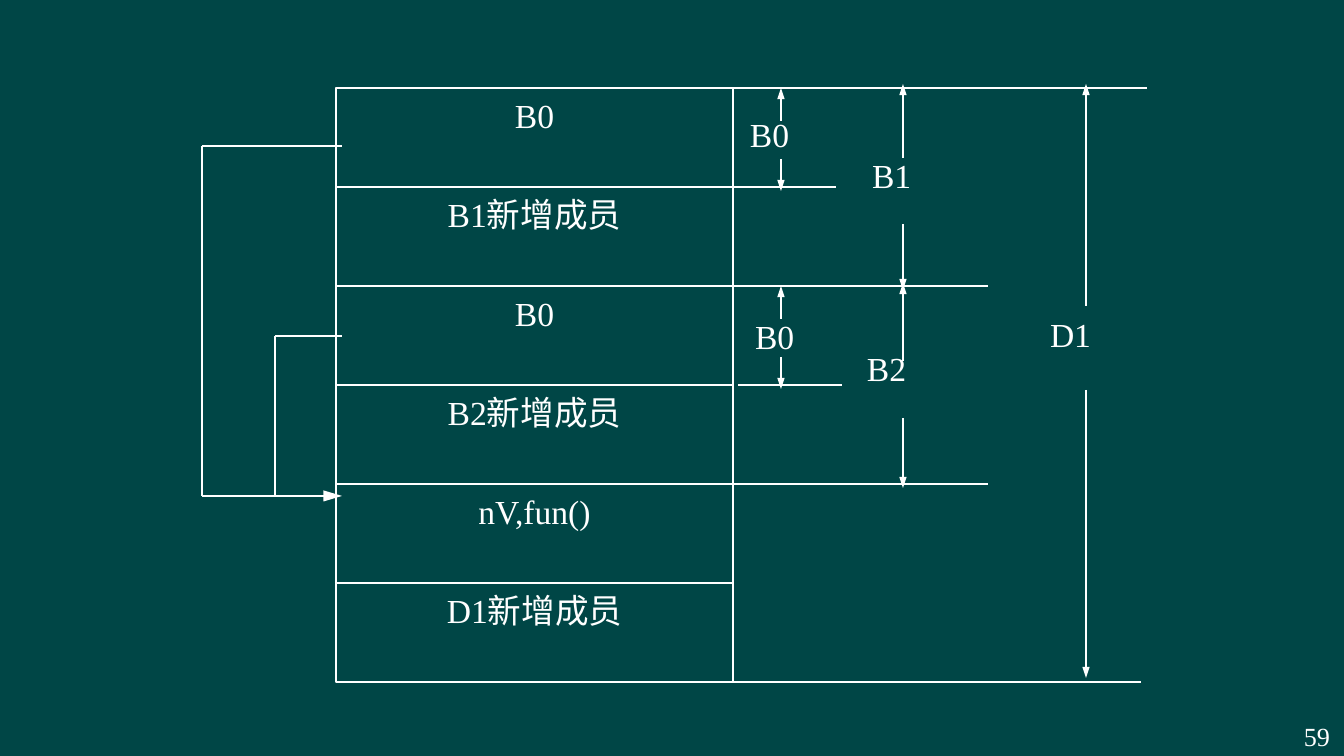
from lxml import etree
from pptx import Presentation
from pptx import util as u
from pptx.dml.color import RGBColor
from pptx.enum import shapes, text
from pptx.oxml.ns import qn

EMU_PER_PX = 914400 / 134.4
WIDTH, HEIGHT = 1344, 756


def px(length):
    return u.Emu(round(length * EMU_PER_PX))


def color(hex_string):
    return RGBColor.from_string(hex_string)


class Diagram:
    """Holds the style and the slide being drawn on."""

    ink = "FFFFFF"
    background = "004646"
    font = "Times New Roman"
    line_width = u.Pt(0.75)

    def __init__(self, slide):
        self.slide = slide
        fill = slide.background.fill
        fill.solid()
        fill.fore_color.rgb = color(self.background)

    def set_text(self, shape, words, size, align, insets):
        """Insets are left, top, right and bottom in px."""
        frame = shape.text_frame
        left, top, right, bottom = map(px, insets)
        frame_format = {
            "word_wrap": True, "vertical_anchor": text.MSO_ANCHOR.TOP,
            "margin_left": left, "margin_top": top,
            "margin_right": right, "margin_bottom": bottom,
        }
        for name, value in frame_format.items():
            setattr(frame, name, value)
        paragraph = frame.paragraphs[0]
        paragraph.alignment = align
        run = paragraph.add_run()
        run.text = words
        for name, value in {"name": self.font, "size": u.Pt(size)}.items():
            setattr(run.font, name, value)
        run.font.color.rgb = color(self.ink)

    def stroke(self, line):
        line.color.rgb = color(self.ink)
        line.width = self.line_width

    def box(self, left, top, width, height, words):
        shape = self.slide.shapes.add_shape(
            shapes.MSO_SHAPE.RECTANGLE, *map(px, (left, top, width, height)))
        shape.shadow.inherit = False
        shape.fill.background()
        self.stroke(shape.line)
        self.set_text(shape, words, 18, text.PP_ALIGN.CENTER, (0, 7, 0, 7))

    def label(self, left, top, width, height, words, size=18,
              align=text.PP_ALIGN.JUSTIFY, insets=(0, 0, 0, 0)):
        shape = self.slide.shapes.add_textbox(
            *map(px, (left, top, width, height)))
        self.set_text(shape, words, size, align, insets)

    def line(self, x1, y1, x2, y2):
        connector = self.slide.shapes.add_connector(
            shapes.MSO_CONNECTOR.STRAIGHT, *map(px, (x1, y1, x2, y2)))
        self.stroke(connector.line)
        etree.SubElement(connector._element.spPr, qn("a:effectLst"))
        return connector

    def arrow(self, x1, y1, x2, y2, head_width="sm", head_length="med"):
        connector = self.line(x1, y1, x2, y2)
        outline = connector._element.spPr.find(qn("a:ln"))
        etree.SubElement(outline, qn("a:tailEnd"),
                         type="triangle", w=head_width, len=head_length)


def main():
    presentation = Presentation()
    presentation.slide_width = px(WIDTH)
    presentation.slide_height = px(HEIGHT)
    slide = presentation.slides.add_slide(presentation.slide_layouts[6])
    diagram = Diagram(slide)

    # Memory layout of the derived object
    left, top, width, row_height = 336, 88, 397, 99
    members = ["B0", "B1新增成员", "B0", "B2新增成员", "nV,fun()", "D1新增成员"]
    edges = [top + row_height * row for row in range(len(members) + 1)]
    for edge, member in zip(edges, members):
        diagram.box(left, edge, width, row_height, member)

    # Extension lines from the row edges: row, start x, end x
    right = left + width
    for row, start, end in [(0, right, 1147), (1, right, 836), (2, right, 988),
                            (3, 738, 842), (4, right, 988), (6, 726, 1141)]:
        diagram.line(start, edges[row], end, edges[row])

    # Dimension arrows: x, upper tip, upper tail, lower tail, lower tip
    for x, upper_tip, upper_tail, lower_tail, lower_tip in [
            (781, 88, 121, 159, 191), (781, 286, 319, 357, 389),
            (903, 84, 158, 224, 290), (903, 283, 361, 418, 488),
            (1086, 84, 306, 390, 678)]:
        diagram.arrow(x, upper_tail, x, upper_tip)
        diagram.arrow(x, lower_tail, x, lower_tip)

    for x, y, words in [(750, 114, "B0"), (755, 316, "B0"), (872, 155, "B1"),
                        (867, 348, "B2"), (1050, 314, "D1")]:
        diagram.label(x, y, 110, 62, words)

    # Both B0 parts point to the shared nV,fun() row
    inner, target = 342, 496
    for x, y in [(202, 146), (275, 336)]:
        diagram.line(inner, y, x, y)
        diagram.line(x, y, x, target)
    diagram.arrow(202, target, inner, target, "med", "lg")

    diagram.label(1253, 713, 90, 46, "59", 14, text.PP_ALIGN.RIGHT,
                  (13, 7, 13, 7))
    presentation.save("out.pptx")


if __name__ == "__main__":
    main()
